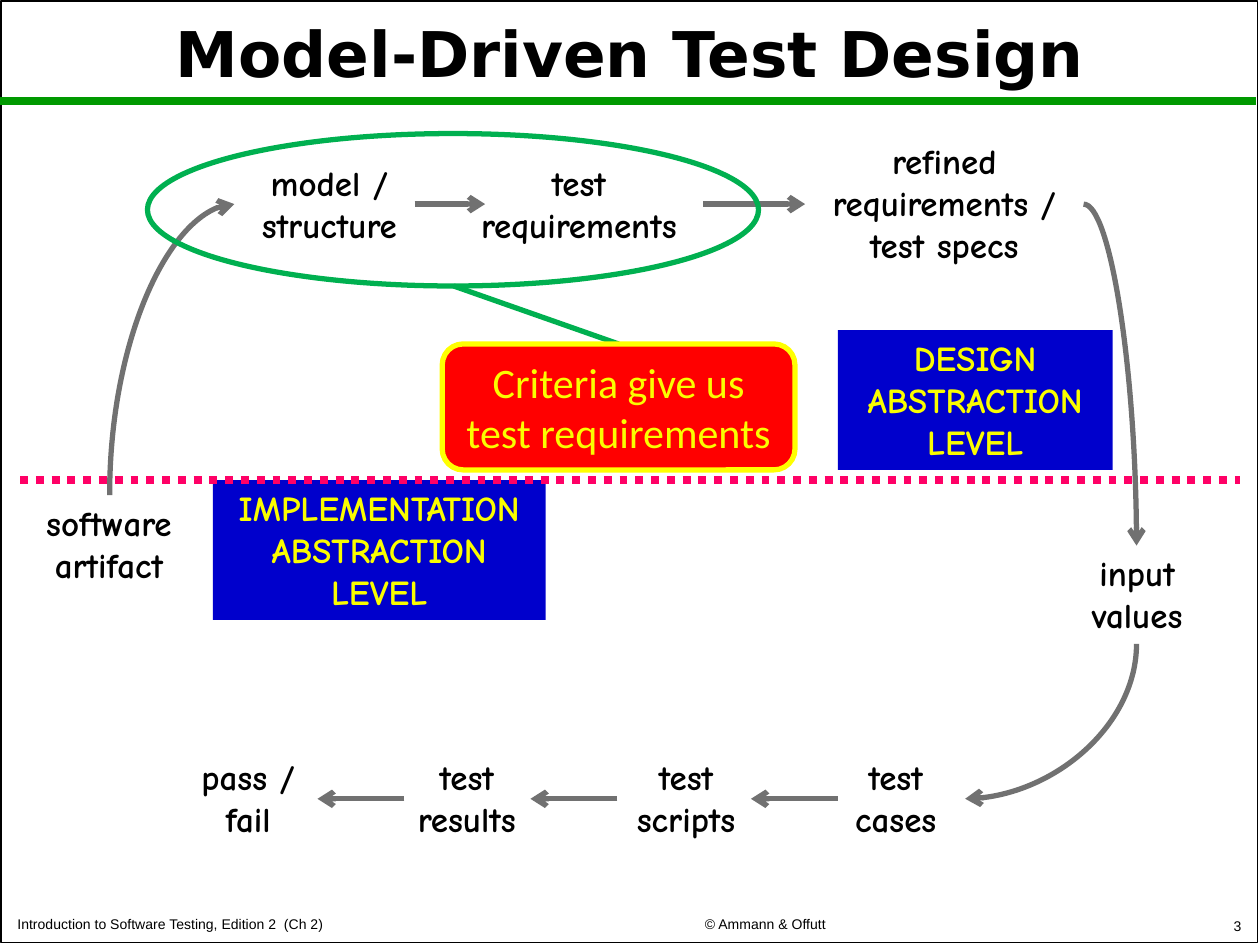
"""Build the Model-Driven Test Design slide."""
from dataclasses import dataclass
from typing import Optional

from lxml import etree
from pptx import Presentation
from pptx.dml.color import RGBColor
from pptx.enum.dml import MSO_LINE
from pptx.enum.shapes import MSO_CONNECTOR, MSO_SHAPE
from pptx.enum.text import MSO_ANCHOR, PP_ALIGN
from pptx.oxml.ns import qn
from pptx.util import Inches, Pt

LEFT, CENTER, RIGHT = PP_ALIGN.LEFT, PP_ALIGN.CENTER, PP_ALIGN.RIGHT
TOP, MIDDLE, BOTTOM = MSO_ANCHOR.TOP, MSO_ANCHOR.MIDDLE, MSO_ANCHOR.BOTTOM
RECTANGLE, ELLIPSE = MSO_SHAPE.RECTANGLE, MSO_SHAPE.OVAL
ROUNDED = MSO_SHAPE.ROUNDED_RECTANGLE
STRAIGHT, CURVE = MSO_CONNECTOR.STRAIGHT, MSO_CONNECTOR.CURVE
DOTTED = MSO_LINE.ROUND_DOT


@dataclass(frozen=True)
class TextStyle:
    font: str
    size: float
    color: str = "000000"
    bold: bool = False
    align: PP_ALIGN = CENTER
    anchor: MSO_ANCHOR = TOP
    spacing: float = 1.0
    wrap: bool = True


@dataclass(frozen=True)
class Stroke:
    color: str
    width: float
    dotted: bool = False
    arrow: bool = False


@dataclass(frozen=True)
class Theme:
    title: TextStyle = TextStyle("DejaVu Sans", 36, bold=True, anchor=MIDDLE, spacing=0.9)
    label: TextStyle = TextStyle("Comic Neue", 20, bold=True)
    level: TextStyle = TextStyle("Comic Neue", 20, "FAFD00", True, wrap=False)
    callout: TextStyle = TextStyle("Calibri", 24, "FAFD00", anchor=MIDDLE)
    footer_left: TextStyle = TextStyle("Arial", 8, align=LEFT, anchor=BOTTOM)
    footer_center: TextStyle = TextStyle("Arial", 8, anchor=BOTTOM)
    footer_right: TextStyle = TextStyle("Arial", 8, align=RIGHT, anchor=BOTTOM)
    frame: Stroke = Stroke("000000", 1)
    title_rule: Stroke = Stroke("009900", 4.5)
    flow: Stroke = Stroke("717171", 3, arrow=True)
    divider: Stroke = Stroke("FF0066", 4.5, dotted=True)
    highlight: Stroke = Stroke("00B050", 3)
    callout_border: Stroke = Stroke("FFFF00", 3)
    level_fill: str = "0000CC"
    callout_fill: str = "FF0000"


@dataclass(frozen=True)
class Box:
    left: float
    top: float
    width: float
    height: float

    def lengths(self) -> tuple:
        return tuple(Inches(v) for v in (self.left, self.top, self.width, self.height))


@dataclass(frozen=True)
class Label:
    text: str
    box: Box
    style: TextStyle


@dataclass(frozen=True)
class Link:
    start: tuple
    end: tuple
    stroke: Stroke
    curved: bool = False
    leaves_vertically: bool = False


THEME = Theme()
DESIGN_Y, TESTS_Y, DIVIDER_Y = 1.62, 6.34, 3.81
LABEL_HEIGHT, TESTS_TOP = 0.77, 5.95

LABELS = [
    Label("Model-Driven Test Design", Box(0.05, 0.11, 9.9, 0.69), THEME.title),
    Label("Introduction to Software Testing, Edition 2  (Ch 2)",
          Box(0.04, 7.18, 4.2, 0.27), THEME.footer_left),
    Label("© Ammann & Offutt", Box(4.49, 7.17, 3.17, 0.28), THEME.footer_center),
    Label("3", Box(7.87, 7.17, 2.08, 0.29), THEME.footer_right),
    Label("refined requirements / test specs", Box(6.39, 1.06, 2.21, 1.11), THEME.label),
] + [
    Label(text, Box(left, top, width, LABEL_HEIGHT), THEME.label)
    for text, left, top, width in (
        ("software artifact", 0.11, 3.93, 1.51),
        ("model / structure", 1.86, 1.23, 1.51),
        ("test requirements", 3.61, 1.23, 1.97),
        ("input values", 8.27, 4.33, 1.51),
        ("test cases", 6.56, TESTS_TOP, 1.1),
        ("test scripts", 4.82, TESTS_TOP, 1.25),
        ("test results", 3.08, TESTS_TOP, 1.25),
        ("pass / fail", 1.35, TESTS_TOP, 1.24),
    )
]

FLOW = [
    Link((0.87, 3.93), (1.86, DESIGN_Y), THEME.flow, True, True),
    Link((9.02, 5.11), (7.66, TESTS_Y), THEME.flow, True, True),
    Link((8.6, DESIGN_Y), (9.02, 4.33), THEME.flow, True),
] + [
    Link((start, y), (end, y), THEME.flow)
    for start, end, y in (
        (3.29, 3.85, DESIGN_Y), (5.58, 6.39, DESIGN_Y),
        (3.21, 2.52, TESTS_Y), (4.9, 4.21, TESTS_Y), (6.65, 5.96, TESTS_Y),
    )
]

LEVELS = [
    Label("IMPLEMENTATION\nABSTRACTION\nLEVEL", Box(1.69, DIVIDER_Y, 2.64, 1.11), THEME.level),
    Label("DESIGN\nABSTRACTION\nLEVEL", Box(6.65, 2.62, 2.18, 1.11), THEME.level),
]
CALLOUT = Label("Criteria give us test requirements", Box(3.51, 2.73, 2.8, 1), THEME.callout)


def write_text(shape, text: str, style: TextStyle) -> None:
    text_frame = shape.text_frame
    text_frame.text = text
    text_frame.word_wrap = style.wrap
    text_frame.vertical_anchor = style.anchor
    for paragraph in text_frame.paragraphs:
        paragraph.alignment = style.align
        paragraph.line_spacing = style.spacing
        for run in paragraph.runs:
            run.font.name = style.font
            run.font.size = Pt(style.size)
            run.font.bold = style.bold
            run.font.color.rgb = RGBColor.from_string(style.color)


def style_line(line, stroke: Stroke) -> None:
    line.color.rgb = RGBColor.from_string(stroke.color)
    line.width = Pt(stroke.width)
    if stroke.dotted:
        line.dash_style = DOTTED


def add_label(slide, label: Label) -> None:
    write_text(slide.shapes.add_textbox(*label.box.lengths()), label.text, label.style)


def add_figure(slide, kind: MSO_SHAPE, box: Box, fill: Optional[str] = None,
               stroke: Optional[Stroke] = None, label: Optional[Label] = None) -> None:
    shape = slide.shapes.add_shape(kind, *box.lengths())
    shape.shadow.inherit = False
    if fill:
        shape.fill.solid()
        shape.fill.fore_color.rgb = RGBColor.from_string(fill)
    else:
        shape.fill.background()
    if stroke:
        style_line(shape.line, stroke)
    else:
        shape.line.fill.background()
    if label:
        write_text(shape, label.text, label.style)


def add_link(slide, link: Link) -> None:
    (x1, y1), (x2, y2) = link.start, link.end
    if link.leaves_vertically:
        middle_x, middle_y = (x1 + x2) / 2, (y1 + y2) / 2
        half_x, half_y = (y2 - y1) / 2, (x1 - x2) / 2
        x1, y1 = middle_x - half_x, middle_y - half_y
        x2, y2 = middle_x + half_x, middle_y + half_y
    connector = slide.shapes.add_connector(
        CURVE if link.curved else STRAIGHT, Inches(x1), Inches(y1), Inches(x2), Inches(y2))
    style_line(connector.line, link.stroke)
    properties = connector.element.spPr
    if link.curved:
        properties.find(qn("a:prstGeom")).set("prst", "curvedConnector2")
    if link.leaves_vertically:
        properties.find(qn("a:xfrm")).set("rot", str(90 * 60000))
    if link.stroke.arrow:
        etree.SubElement(properties.find(qn("a:ln")), qn("a:tailEnd"), type="arrow")
    etree.SubElement(properties, qn("a:effectLst"))


def main() -> None:
    presentation = Presentation()
    presentation.slide_width, presentation.slide_height = Inches(10), Inches(7.5)
    slide = presentation.slides.add_slide(presentation.slide_layouts[6])
    add_figure(slide, RECTANGLE, Box(0.01, 0.01, 9.97, 7.47), stroke=THEME.frame)
    add_link(slide, Link((0, 0.8), (9.97, 0.8), THEME.title_rule))
    for label in LABELS:
        add_label(slide, label)
    for level in LEVELS:
        add_figure(slide, RECTANGLE, level.box, THEME.level_fill, label=level)
    for link in FLOW:
        add_link(slide, link)
    add_link(slide, Link((0.16, DIVIDER_Y), (9.84, DIVIDER_Y), THEME.divider))
    add_figure(slide, ELLIPSE, Box(1.17, 1.06, 4.85, 1.21), stroke=THEME.highlight)
    add_link(slide, Link((3.6, 2.27), (4.91, 2.73), THEME.highlight))
    add_figure(slide, ROUNDED, CALLOUT.box, THEME.callout_fill, THEME.callout_border, CALLOUT)
    presentation.save("out.pptx")


if __name__ == "__main__":
    main()
